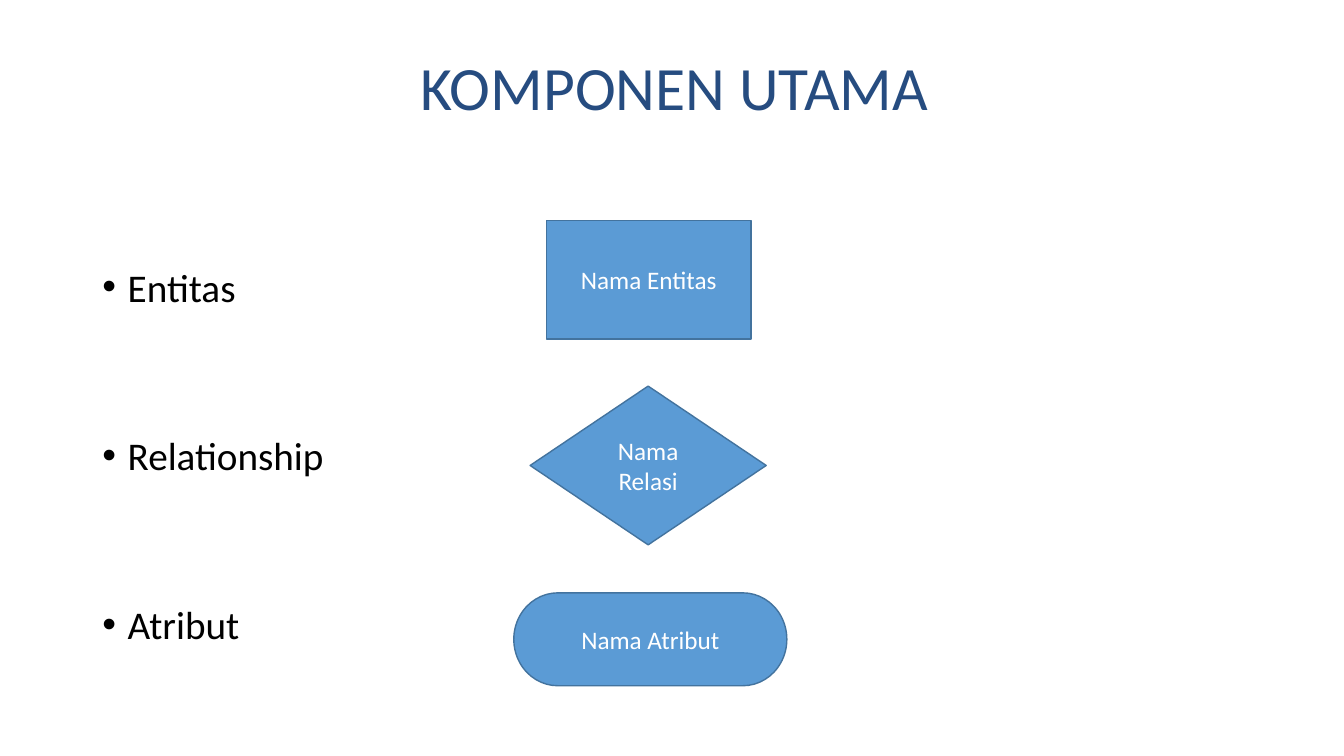
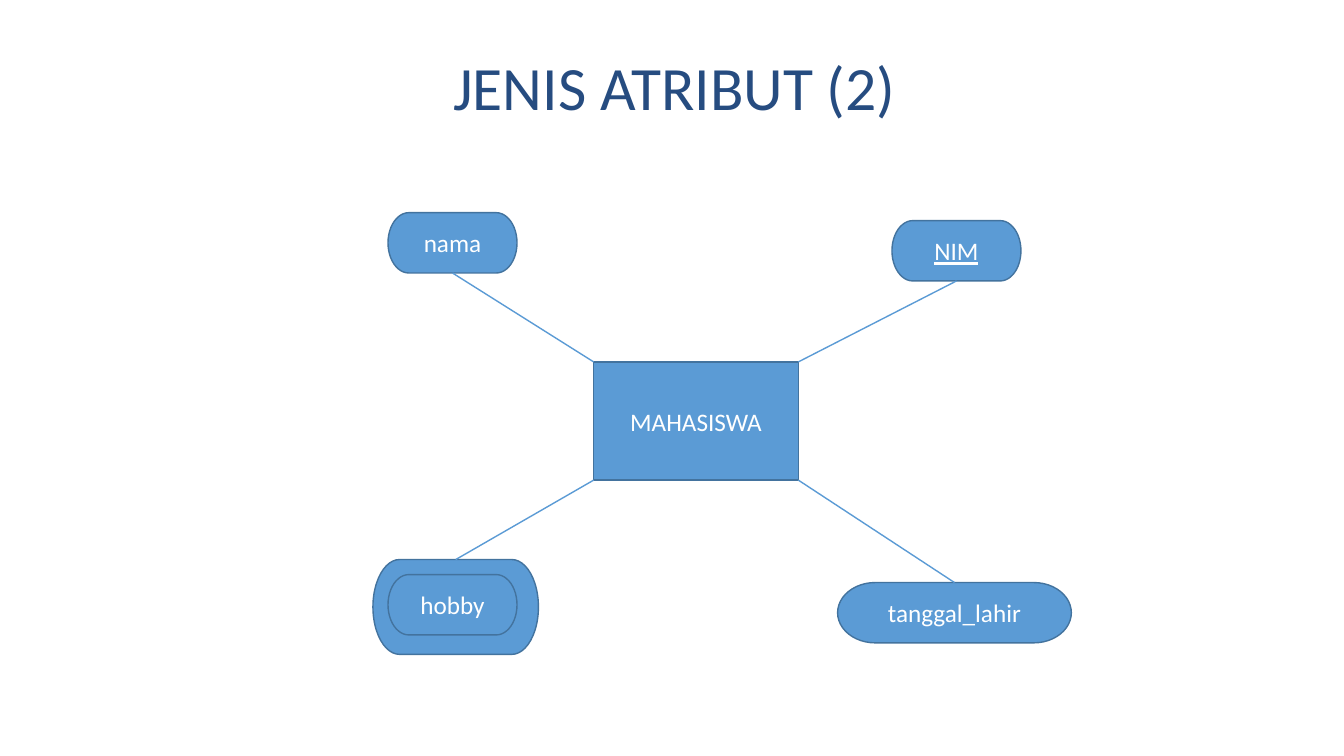
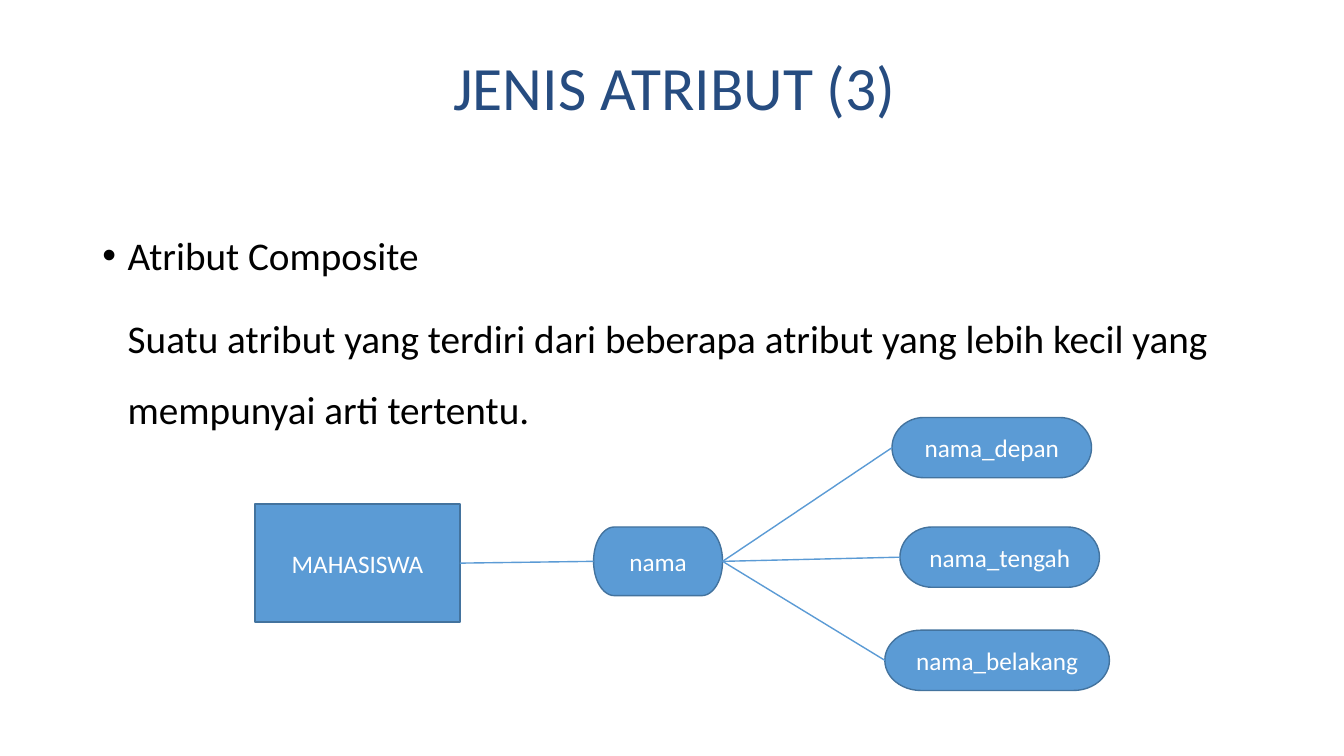
import pptx
import pptx.util
import pptx.dml.color
import pptx.enum.shapes
import pptx.enum.text
import lxml.etree

Cm = pptx.util.Cm
Pt = pptx.util.Pt
KIND = pptx.enum.shapes.MSO_SHAPE
ALIGN = pptx.enum.text.PP_ALIGN
ANCHOR = pptx.enum.text.MSO_ANCHOR
NS = "http://schemas.openxmlformats.org/drawingml/2006/main"
TOP, LEFT, BOTTOM, RIGHT = range(4)


def color(code):
    return pptx.dml.color.RGBColor.from_string(code)


def add_tag(parent, name, **attrs):
    return lxml.etree.SubElement(parent, f"{{{NS}}}{name}", **attrs)


class Deck:
    """Shared style and the current slide."""
    FONT = "Calibri"
    NAVY, BLUE, EDGE = "264C80", "5B9BD5", "43739E"
    WHITE, BLACK = "FFFFFF", "000000"
    INDENT = Cm(0.64)

    def __init__(self):
        self.file = pptx.Presentation()
        self.file.slide_width = Cm(33.87)
        self.file.slide_height = Cm(19.05)

    def style(self, para, size, code, under=None):
        for run in para.runs:
            font = run.font
            font.name, font.size, font.underline = self.FONT, Pt(size), under
            font.color.rgb = color(code)

    def page(self, text):
        slide = self.file.slides.add_slide(self.file.slide_layouts[5])
        self.shapes = slide.shapes
        title = self.shapes.title
        title.left, title.top = Cm(5.5), Cm(0.7)
        title.width, title.height = Cm(22.86), Cm(3.18)
        frame = title.text_frame
        frame.text = text
        frame.auto_size = pptx.enum.text.MSO_AUTO_SIZE.NONE
        frame.vertical_anchor = ANCHOR.MIDDLE
        para = frame.paragraphs[0]
        para.alignment, para.line_spacing = ALIGN.CENTER, 0.9
        para._p.get_or_add_pPr().set("marL", str(Cm(0.15)))
        self.style(para, 44, self.NAVY)

    def body(self, top, height, items):
        """Each item is text, bullet flag, line spacing, space before."""
        box = self.shapes.add_textbox(Cm(2.33), Cm(top), Cm(29.21), Cm(height))
        frame = box.text_frame
        frame.word_wrap = True
        frame.text = "\n".join(item[0] for item in items)
        for para, (_, dot, line, gap) in zip(frame.paragraphs, items):
            props = para._p.get_or_add_pPr()
            props.set("marL", str(self.INDENT))
            props.set("indent", str(-self.INDENT if dot else 0))
            if dot:
                add_tag(props, "buFont", typeface="Arial")
                add_tag(props, "buChar", char="•")
            para.line_spacing, para.space_before = line, Pt(gap)
            self.style(para, 28, self.BLACK)

    def node(self, kind, text, left, top, width, height, wrap=True, under=None):
        shape = self.shapes.add_shape(
            kind, Cm(left), Cm(top), Cm(width), Cm(height))
        shape.shadow.inherit = False
        shape.fill.solid()
        shape.fill.fore_color.rgb = color(self.BLUE)
        shape.line.color.rgb = color(self.EDGE)
        shape.line.width = Pt(1)
        if text:
            frame = shape.text_frame
            frame.text, frame.word_wrap = text, wrap
            frame.vertical_anchor = ANCHOR.MIDDLE
            frame.paragraphs[0].alignment = ALIGN.CENTER
            self.style(frame.paragraphs[0], 18, self.WHITE, under)
        return shape

    def entity(self, text, left, top):
        return self.node(KIND.RECTANGLE, text, left, top, 5.16, 2.98)

    def field(self, text, left, top, width=3.25, height=1.52, under=None):
        return self.node(KIND.FLOWCHART_TERMINATOR, text, left, top,
                         width, height, False, under)

    def line(self, start, side):
        """Line from a side of start; its far end is still to be set."""
        link = self.shapes.add_connector(
            pptx.enum.shapes.MSO_CONNECTOR.STRAIGHT, 0, 0, 0, 0)
        link.line.color.rgb = color(self.BLUE)
        link.line.width = Pt(1)
        add_tag(link._element.spPr, "effectLst")
        link.begin_connect(start, side)
        return link

    def join(self, start, side, end, other):
        self.line(start, side).end_connect(end, other)

    def reach(self, start, side, x, y):
        link = self.line(start, side)
        link.end_x, link.end_y = x, y


def main():
    deck = Deck()

    # Main components
    deck.page("KOMPONEN UTAMA")
    names = ["Entitas", "Relationship", "Atribut"]
    deck.body(6.5, 10.3, [(name, True, 1.0, 87 if pos else 0)
                          for pos, name in enumerate(names)])
    deck.entity("Nama Entitas", 13.77, 5.56)
    deck.node(KIND.FLOWCHART_DECISION, "Nama Relasi", 13.36, 9.73, 5.95, 4)
    deck.field("Nama Atribut", 12.95, 14.94, 6.88, 2.34)

    # Kinds of attribute around one entity
    deck.page("JENIS ATRIBUT (2)")
    student = deck.entity("MAHASISWA", 14.96, 9.12)
    number = deck.field("NIM", 22.48, 5.56, under=True)
    name = deck.field("nama", 9.78, 5.36)
    birth = deck.field("tanggal_lahir", 21.11, 14.68, 5.89)
    hobby = deck.field("", 9.4, 14.1, 4.17, 2.39)
    inner = deck.field("hobby", 9.78, 14.48)
    deck.shapes.add_group_shape([hobby, inner])
    west, north = student.left, student.top
    east, south = west + student.width, north + student.height
    for field, side, x, y in [(name, BOTTOM, west, north),
                              (hobby, TOP, west, south),
                              (number, BOTTOM, east, north),
                              (birth, TOP, east, south)]:
        deck.reach(field, side, x, y)

    # Composite attribute
    deck.page("JENIS ATRIBUT (3)")
    deck.body(5.7, 5.5, [
        ("Atribut Composite", True, 1.0, 0),
        ("Suatu atribut yang terdiri dari beberapa atribut yang lebih kecil "
         "yang mempunyai arti tertentu.", False, 1.5, 9)])
    student = deck.entity("MAHASISWA", 6.43, 12.7)
    name = deck.field("nama", 14.96, 13.28, height=1.73)
    deck.join(name, LEFT, student, RIGHT)
    for text, left, top, width in [("nama_depan", 22.48, 10.52, 5.03),
                                   ("nama_tengah", 22.68, 13.28, 5.03),
                                   ("nama_belakang", 22.3, 15.88, 5.66)]:
        part = deck.field(text, left, top, width)
        deck.join(part, LEFT, name, RIGHT)

    deck.file.save("out.pptx")


if __name__ == "__main__":
    main()
